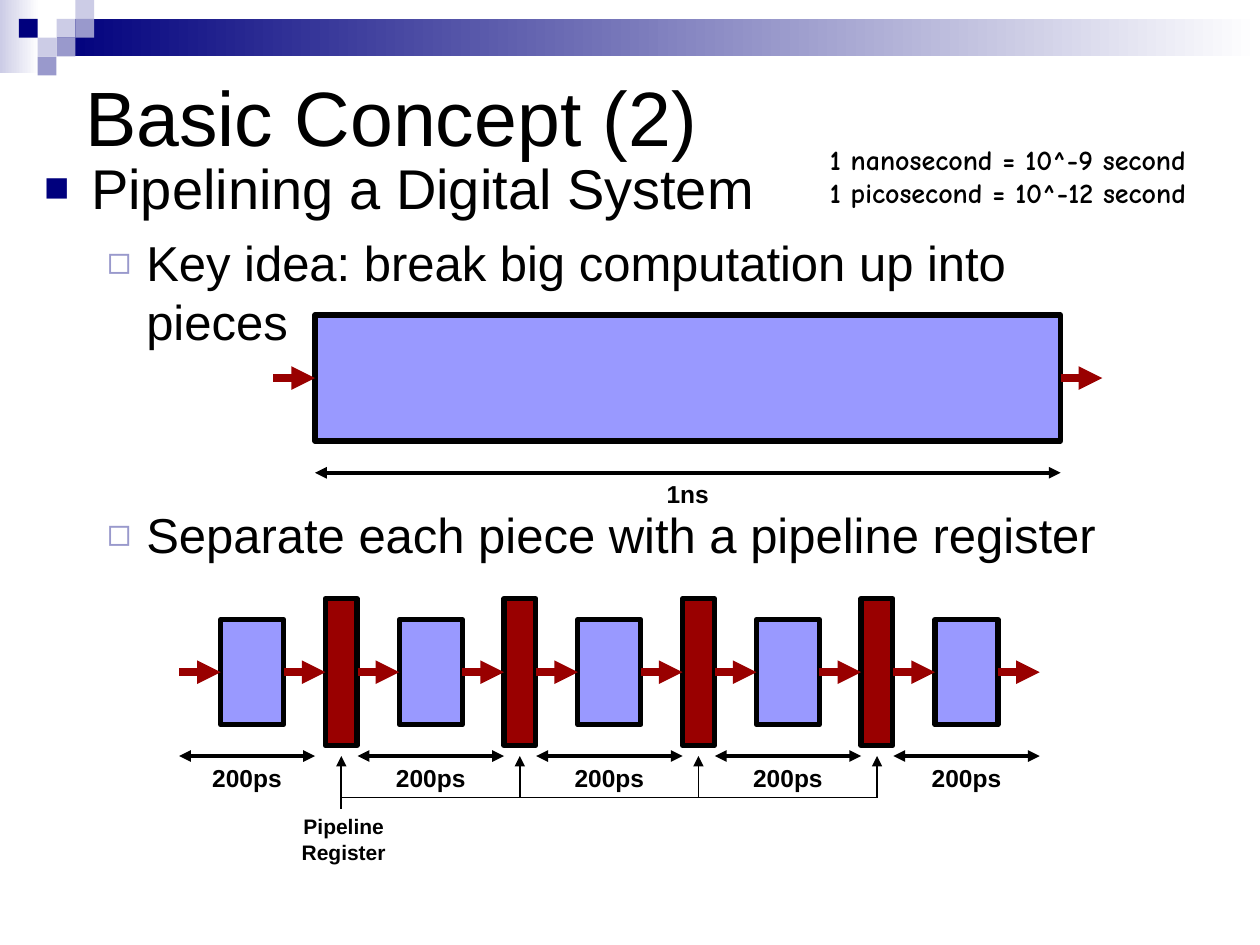
from dataclasses import dataclass
from lxml import etree
from pptx import Presentation
from pptx.dml.color import RGBColor
from pptx.enum import shapes, text
from pptx.oxml.ns import qn
from pptx.util import Cm, Pt


@dataclass(frozen=True)
class Theme:
    ink: str = "000000"
    white: str = "FFFFFF"
    navy: str = "00007D"
    lavender: str = "9999CC"
    pale: str = "CCCCE6"
    logic: str = "9999FF"
    register: str = "990000"
    font: str = "Arial"
    note_font: str = "Comic Neue"
    title: int = 44
    heading: int = 32
    point: int = 28
    note: int = 16
    time: int = 14
    caption: int = 12
    leading: float = 1.2


T = Theme()

TITLE = "Basic Concept (2)"
HEADING = "Pipelining a Digital System"
POINTS = [
    ("Key idea: break big computation up into pieces", 7),
    ("Separate each piece with a pipeline register", 88),
]
NOTES = ["1 nanosecond = 10^-9 second", "1 picosecond = 10^-12 second"]
TOTAL_TIME = "1ns"
STAGE_TIMES = ["200ps"] * 5
REGISTER_CAPTION = ["Pipeline", "Register"]

BANDS = [(0, 0, 0.79, 1.47, T.pale), (1.14, 0.38, 24.26, 0.76, T.navy)]
TILE = 0.38
TILES = [
    (3, 1, T.pale), (4, 0, T.pale), (4, 1, T.lavender), (2, 2, T.pale),
    (1, 1, T.navy), (3, 2, T.lavender), (2, 3, T.lavender),
]

deck = Presentation()
deck.slide_width, deck.slide_height = Cm(25.4), Cm(19.05)
slide = deck.slides.add_slide(deck.slide_layouts[6])


def rgb(value):
    return RGBColor.from_string(value)


def rect(x, y, w, h, fill, fade=None, outline=None):
    box = slide.shapes.add_shape(shapes.MSO_SHAPE.RECTANGLE, Cm(x), Cm(y), Cm(w), Cm(h))
    box.shadow.inherit = False
    if fade:
        box.fill.gradient()
        box.fill.gradient_angle = 0
        for stop, color in zip(box.fill.gradient_stops, (fill, fade)):
            stop.color.rgb = rgb(color)
    else:
        box.fill.solid()
        box.fill.fore_color.rgb = rgb(fill)
    if outline:
        box.line.color.rgb = rgb(outline)
        box.line.width = Pt(3)
    else:
        box.line.fill.background()


def line(x1, y1, x2, y2, color, width, ends=()):
    rule = slide.shapes.add_connector(
        shapes.MSO_CONNECTOR.STRAIGHT, Cm(x1), Cm(y1), Cm(x2), Cm(y2))
    rule.line.color.rgb = rgb(color)
    rule.line.width = Pt(width)
    outline = rule.line._get_or_add_ln()
    for end in ends:
        etree.SubElement(outline, qn(f"a:{end}"), type="triangle")
    etree.SubElement(rule._element.spPr, qn("a:effectLst"))


def flow(x1, x2, y):
    line(x1, y, x2, y, T.register, 4.5, ["tailEnd"])


def span(x1, x2, y, label):
    line(x1, y, x2, y, T.ink, 2.25, ["headEnd", "tailEnd"])
    centred_label((x1 + x2) / 2, y, 0.86, [label], T.time)


def text_box(x, y, w, h, anchor=text.MSO_ANCHOR.TOP, wrap=True):
    frame = slide.shapes.add_textbox(Cm(x), Cm(y), Cm(w), Cm(h)).text_frame
    frame.word_wrap = wrap
    frame.vertical_anchor = anchor
    return frame


def write(paragraph, words, size, font=T.font, bold=False):
    paragraph.line_spacing = Pt(size * T.leading)
    run = paragraph.add_run()
    run.text = words
    run.font.name, run.font.size, run.font.bold = font, Pt(size), bold
    run.font.color.rgb = rgb(T.ink)


def write_lines(frame, lines, size, align, font=T.font):
    for i, words in enumerate(lines):
        paragraph = frame.add_paragraph() if i else frame.paragraphs[0]
        paragraph.alignment = align
        write(paragraph, words, size, font, True)


def centred_label(center, y, h, lines, size, w=2.2):
    frame = text_box(center - w / 2, y, w, h, text.MSO_ANCHOR.MIDDLE, False)
    write_lines(frame, lines, size, text.PP_ALIGN.CENTER)


def bullet(paragraph, mark, color, percent, margin, hang):
    props = paragraph._p.get_or_add_pPr()
    props.set("marL", str(Cm(margin)))
    props.set("indent", str(-Cm(hang)))
    tint = etree.SubElement(props, qn("a:buClr"))
    etree.SubElement(tint, qn("a:srgbClr"), val=color)
    etree.SubElement(props, qn("a:buSzPct"), val=str(percent * 1000))
    etree.SubElement(props, qn("a:buFont"), typeface=T.font)
    etree.SubElement(props, qn("a:buChar"), char=mark)


for *place, color in BANDS:
    rect(*place, color, fade=T.white)
for column, row, color in TILES:
    rect(column * TILE, row * TILE, TILE, TILE, color)

title = text_box(1.47, 0.43, 22.86, 3.81, text.MSO_ANCHOR.MIDDLE)
write(title.paragraphs[0], TITLE, T.title)

body = text_box(0.64, 2.97, 22.43, 12.7)
bullet(body.paragraphs[0], "■", T.navy, 75, 0.95, 0.95)
write(body.paragraphs[0], HEADING, T.heading)
for words, gap in POINTS:
    point = body.add_paragraph()
    bullet(point, "◻", T.lavender, 80, 2.06, 0.79)
    point.space_before = Pt(gap)
    write(point, words, T.point)

ARROW = 0.84
WHOLE_LEFT, WHOLE_RIGHT = 6.35, 21.38
rect(WHOLE_LEFT, 6.35, WHOLE_RIGHT - WHOLE_LEFT, 2.54, T.logic, outline=T.ink)
flow(WHOLE_LEFT - ARROW, WHOLE_LEFT, 7.62)
flow(WHOLE_RIGHT, WHOLE_RIGHT + ARROW, 7.62)
span(WHOLE_LEFT, WHOLE_RIGHT, 9.53, TOTAL_TIME)

PITCH, STAGE_LEFT, STAGE_W, STAGE_H = 3.6, 4.45, 1.27, 2.12
REGISTER_W, REGISTER_H = 0.64, 2.96
AXIS, SPAN_Y, BUS_Y = 13.55, 15.24, 16.08
register_centers = []
for i, time in enumerate(STAGE_TIMES):
    left = STAGE_LEFT + i * PITCH
    right = left + STAGE_W
    after = right + ARROW
    rect(left, AXIS - STAGE_H / 2, STAGE_W, STAGE_H, T.logic, outline=T.ink)
    if i < len(STAGE_TIMES) - 1:
        rect(after, AXIS - REGISTER_H / 2, REGISTER_W, REGISTER_H, T.register, outline=T.ink)
        register_centers.append(after + REGISTER_W / 2)
    flow(left - ARROW, left, AXIS)
    flow(right, after, AXIS)
    span(left - ARROW, after if i else WHOLE_LEFT, SPAN_Y, time)

for i, center in enumerate(register_centers):
    line(center, BUS_Y if i else 16.3, center, SPAN_Y, T.ink, 1, ["tailEnd"])
line(register_centers[0], BUS_Y, register_centers[-1], BUS_Y, T.ink, 1)
centred_label(register_centers[0] + 0.05, 16.28, 1.27, REGISTER_CAPTION, T.caption)

notes = text_box(16.48, 2.74, 7.7, 1.63, wrap=False)
write_lines(notes, NOTES, T.note, text.PP_ALIGN.LEFT, T.note_font)

deck.save("out.pptx")
